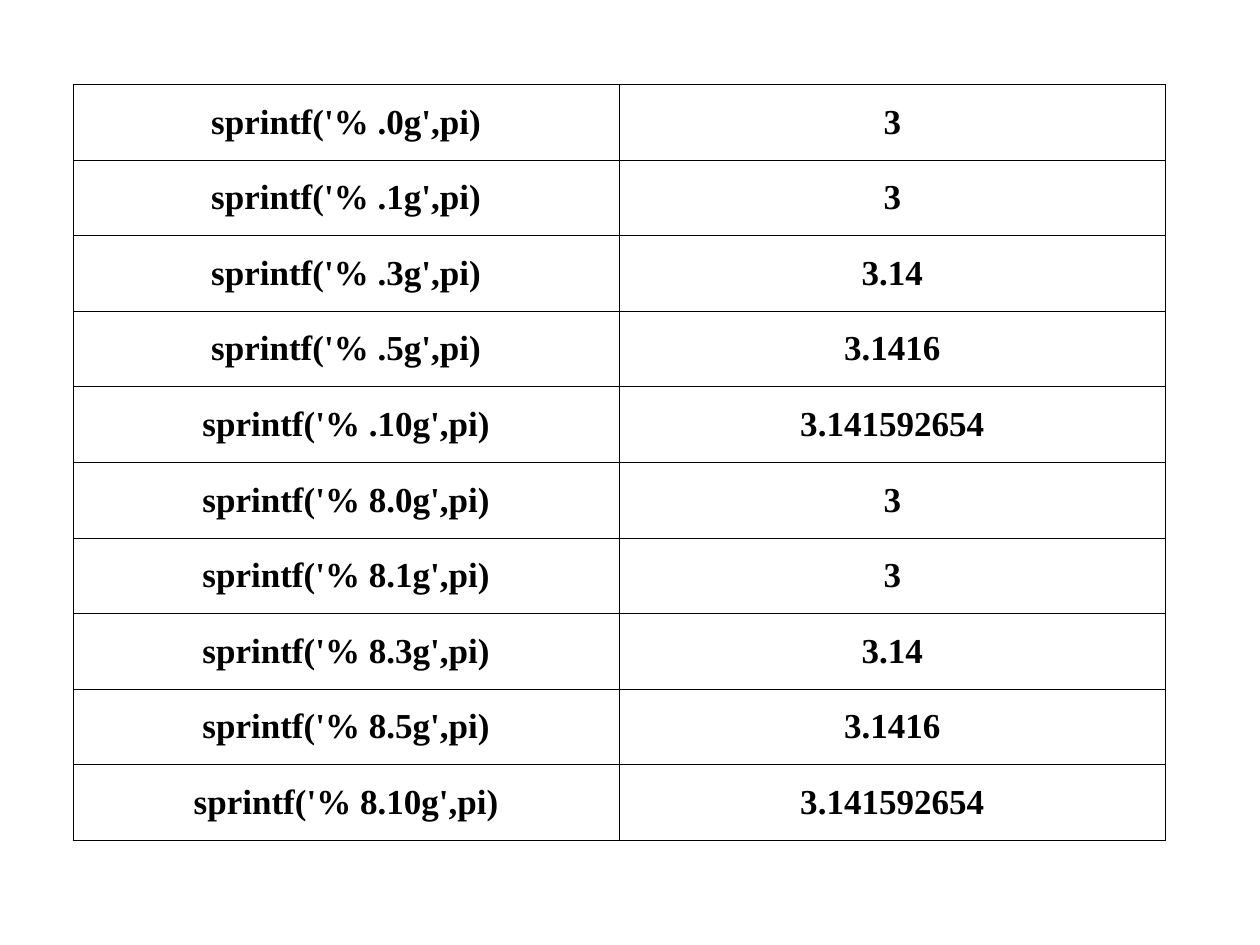
from pptx import Presentation
from pptx.dml.color import RGBColor
from pptx.enum.text import MSO_ANCHOR, PP_ALIGN
from pptx.oxml import parse_xml
from pptx.oxml.ns import nsdecls
from pptx.util import Inches, Pt

BLACK = "000000"
values = {"0": "3", "1": "3", "3": "3.14", "5": "3.1416", "10": "3.141592654"}
rows = [(f"sprintf('% {width}.{digits}g',pi)", value)
        for width in ("", "8") for digits, value in values.items()]


def color(code):
    return RGBColor.from_string(code)


def border(cell):
    """Draw a thin line on all four sides; call before setting the fill."""
    for side in "LRTB":
        cell._tc.get_or_add_tcPr().append(parse_xml(
            f'<a:ln{side} {nsdecls("a")} w="{Pt(0.45)}"><a:solidFill>'
            f'<a:srgbClr val="{BLACK}"/></a:solidFill></a:ln{side}>'))


prs = Presentation()
prs.slide_width, prs.slide_height = Inches(10), Inches(7.5)
slide = prs.slides.add_slide(prs.slide_layouts[6])

frame = slide.shapes.add_table(len(rows), 2, Inches(0.58), Inches(0.67),
                               Inches(8.67), Inches(6))
table = frame.table
table.first_row = table.horz_banding = False

for r, texts in enumerate(rows):
    for c, text in enumerate(texts):
        cell = table.cell(r, c)
        border(cell)
        cell.fill.background()
        cell.vertical_anchor = MSO_ANCHOR.MIDDLE
        cell.text = text
        para = cell.text_frame.paragraphs[0]
        para.alignment = PP_ALIGN.CENTER
        font = para.font
        font.name, font.size, font.bold = "Times New Roman", Pt(20), True
        font.color.rgb = color(BLACK)

prs.save("out.pptx")
